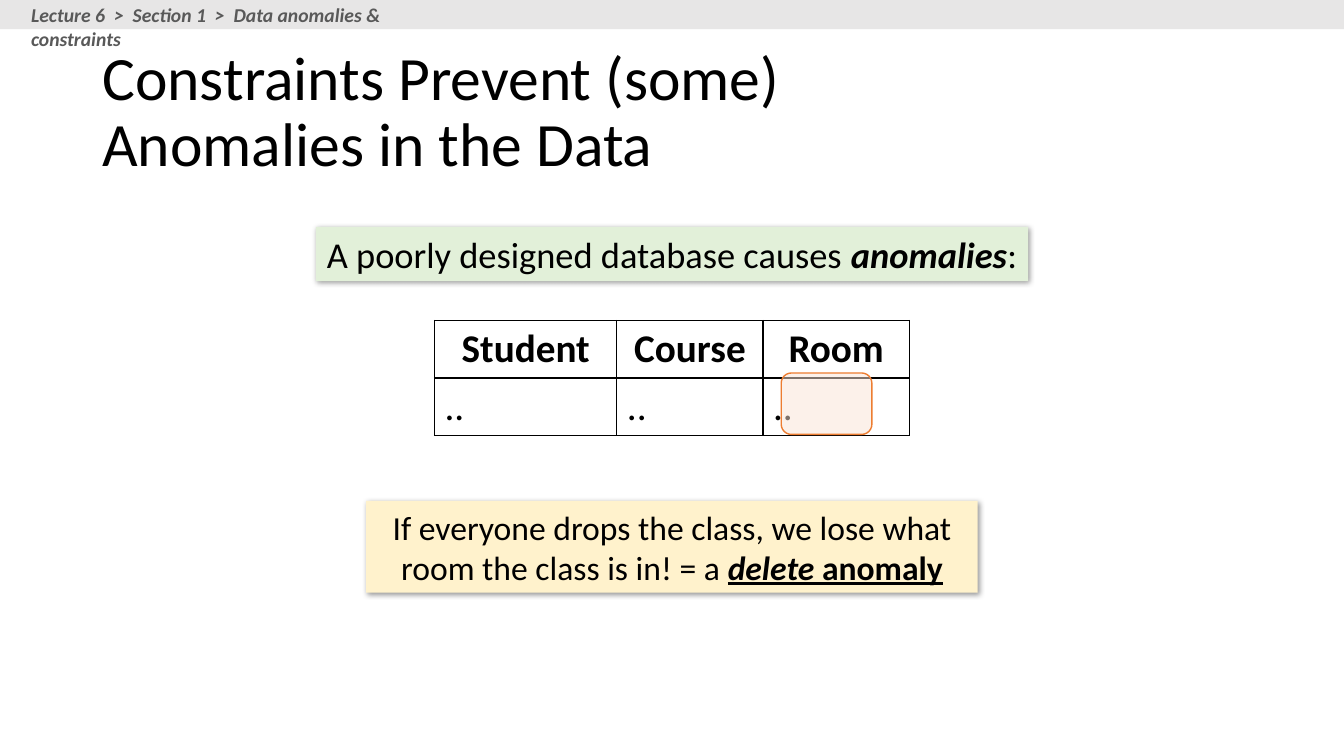
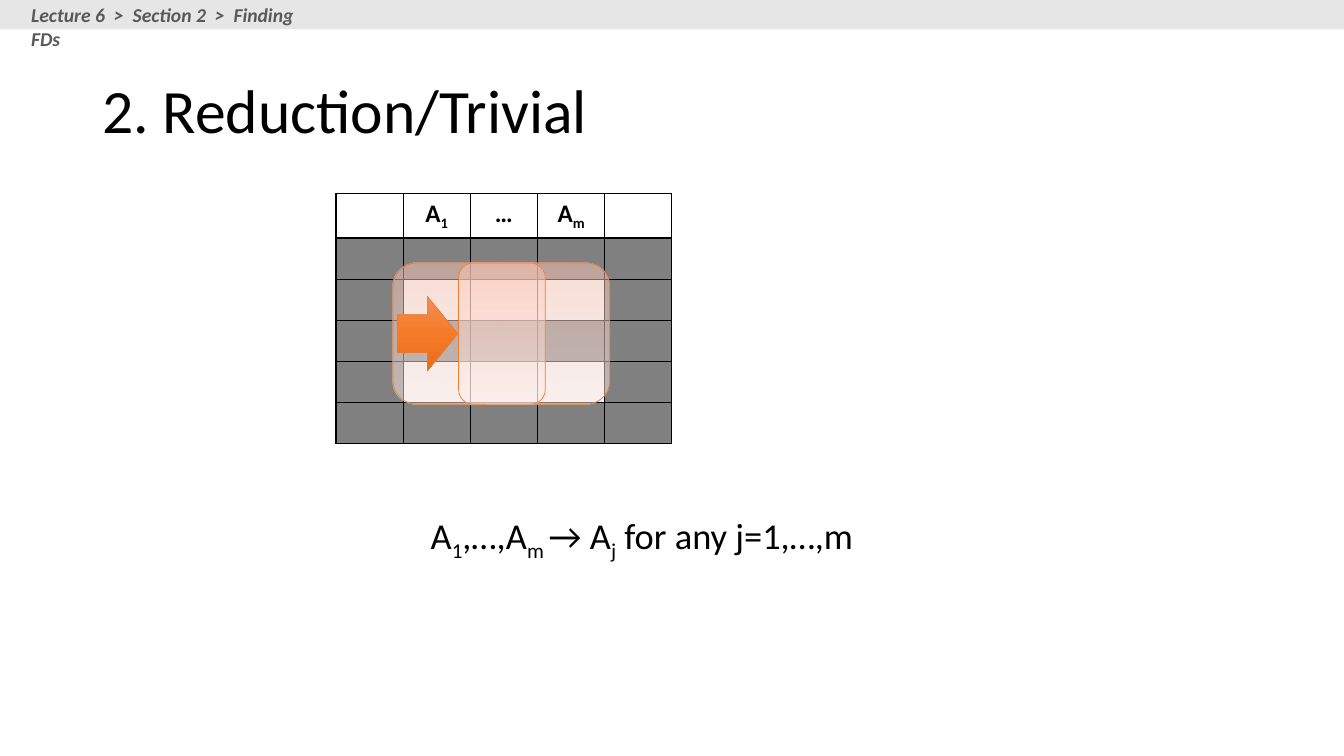
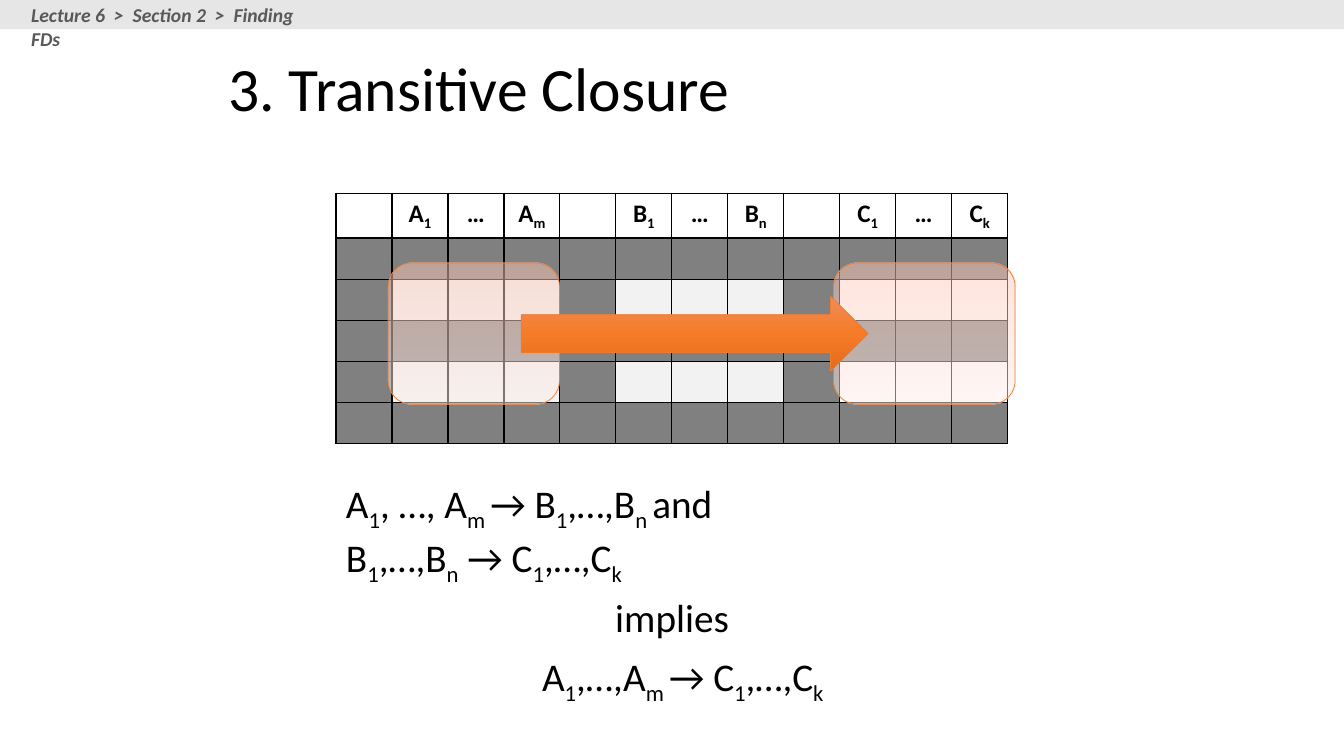
from dataclasses import dataclass
from lxml.etree import SubElement as Sub
from pptx import Presentation
from pptx.dml.color import RGBColor as Rgb
from pptx.enum.shapes import MSO_SHAPE as Kind
from pptx.enum.text import MSO_ANCHOR as Anchor, PP_ALIGN as Align
from pptx.oxml.ns import qn
from pptx.util import Inches, Pt

WIDE, HIGH = Inches(13.33), Inches(7.5)
COL, ROW = WIDE / 40, HIGH / 30
MID, LEFT = Align.CENTER, Align.LEFT


@dataclass(frozen=True)
class Theme:
    """Colours, font and type sizes that the slides share."""
    font: str = "Calibri"
    ink: str = "000000"
    band: str = "E7E6E6"
    crumb: str = "595959"
    green: str = "E2F0D9"
    cream: str = "FFF2CC"
    peach: str = "FBE5D6"
    edge: str = "ED7D31"
    dark: str = "808080"
    pale: str = "F2F2F2"
    white: str = "FFFFFF"
    blush: tuple = ((0, "FFC7B6"), (35, "FFD7CB"), (100, "FFF0EB"))
    flame: tuple = ((0, "F18C57"), (50, "F67B28"), (100, "E56C19"))
    title: int = 44
    large: int = 28
    body: int = 26
    note: int = 24
    head: int = 18
    small: int = 14


T = Theme()


def place(x, y, w, h):
    """Turn grid columns and rows into slide lengths."""
    return [int(n) for n in (x * COL, y * ROW, w * COL, h * ROW)]


def subs(text):
    """Split text into runs; braces mark a subscript."""
    first, *rest = text.split("{")
    runs = [(first, "")]
    for part in rest:
        low, _, tail = part.partition("}")
        runs += [(low, "s"), (tail, "")]
    return [run for run in runs if run[0]]


def style(run, marks):
    """Apply b, i, u and s (subscript) marks to a run."""
    font = run.font
    if "b" in marks:
        font.bold = True
    if "i" in marks:
        font.italic = True
    if "u" in marks:
        font.underline = True
    if "s" in marks:
        font._element.set("baseline", "-25000")


def write(frame, lines, size, align=LEFT, color=T.ink, bold=False, slant=False):
    """Fill a text frame, one list of runs to a paragraph."""
    frame.word_wrap = True
    for num, runs in enumerate(lines):
        para = frame.add_paragraph() if num else frame.paragraphs[0]
        para.alignment = align
        font = para.font
        font.name, font.size = T.font, Pt(size)
        font.bold, font.italic = bold, slant
        font.color.rgb = Rgb.from_string(color)
        for text, marks in runs:
            for part, piece in enumerate(text.split("\n")):
                if part:
                    para.add_line_break()
                run = para.add_run()
                run.text = piece
                style(run, marks)


def label(slide, box, lines, size, **look):
    """Add a text box on the grid and return its frame."""
    frame = slide.shapes.add_textbox(*place(*box)).text_frame
    write(frame, lines, size, **look)
    return frame


def fade(color, alpha):
    """Give a colour element an opacity in percent."""
    Sub(color, qn("a:alpha")).set("val", str(alpha * 1000))


def shape(slide, kind, box, fill=None, line=None, width=1):
    """Add a flat preset shape."""
    item = slide.shapes.add_shape(kind, *place(*box))
    item.shadow.inherit = False
    if fill:
        item.fill.solid()
        item.fill.fore_color.rgb = Rgb.from_string(fill)
    if line:
        item.line.color.rgb = Rgb.from_string(line)
        item.line.width = Pt(width)
    else:
        item.line.fill.background()
    return item


def blend(item, stops, alpha=100):
    """Fill a shape with a gradient from top to bottom."""
    item.fill.gradient()
    item.fill.gradient_angle = 270
    group = item._element.spPr.find(qn("a:gradFill")).find(qn("a:gsLst"))
    for old in list(group):
        group.remove(old)
    for spot, tone in stops:
        stop = Sub(group, qn("a:gs"), pos=str(spot * 1000))
        color = Sub(stop, qn("a:srgbClr"), val=tone)
        if alpha < 100:
            fade(color, alpha)


def note(slide, box, fill, runs, size):
    """Add a tinted callout with a soft shadow."""
    item = shape(slide, Kind.RECTANGLE, box, fill)
    effects = item._element.spPr.find(qn("a:effectLst"))
    cast = Sub(effects, qn("a:outerShdw"), blurRad=str(Pt(4)),
               dist=str(Pt(1)), dir="2700000", algn="tl", rotWithShape="0")
    fade(Sub(cast, qn("a:srgbClr"), val=T.ink), 40)
    write(item.text_frame, [runs], size, MID)


def frame(slide, x, w):
    """Mark a group of table columns with a clear rounded panel."""
    item = shape(slide, Kind.ROUNDED_RECTANGLE, (x, 10.44, w, 5.6),
                 line=T.edge, width=0.5)
    blend(item, T.blush, 50)


def arrow(slide, x, w):
    """Add a block arrow across the middle of the table."""
    item = shape(slide, Kind.RIGHT_ARROW, (x, 11.76, w, 2.96),
                 line=T.edge, width=0.5)
    blend(item, T.flame)


def border(cell):
    """Draw thin lines on all four sides of a cell."""
    props = cell._tc.get_or_add_tcPr()
    for num, side in enumerate(("lnL", "lnR", "lnT", "lnB")):
        line = props.makeelement(qn("a:" + side), {"w": str(Pt(1))})
        Sub(Sub(line, qn("a:solidFill")), qn("a:srgbClr"), val=T.ink)
        props.insert(num, line)


def table(slide, x, y, cols, rows, high):
    """Add a plain bordered table and return it."""
    box = place(x, y, sum(cols), rows * high)
    grid = slide.shapes.add_table(rows, len(cols), *box).table
    grid.first_row = grid.horz_banding = False
    for col, wide in zip(grid.columns, cols):
        col.width = int(wide * COL)
    for row in grid.rows:
        row.height = int(high * ROW)
        for cell in row.cells:
            cell.fill.background()
            border(cell)
    return grid


def relation(slide, wide, heads, tones):
    """Add a relation with dark rows and two lit rows under its heads."""
    count = len(heads)
    grid = table(slide, 10, 7.68, [wide / count] * count, 6, 1.63)
    for num, (head, tone) in enumerate(zip(heads, tones)):
        if head:
            write(grid.cell(0, num).text_frame, [subs(head)], T.head, MID,
                  bold=True)
        for row in range(1, 6):
            fill = grid.cell(row, num).fill
            fill.solid()
            fill.fore_color.rgb = Rgb.from_string(
                tone if row in (2, 4) else T.dark)


def start(deck, title, crumb, wide, box=(2.75, 1.6, 34.5, 5.8)):
    """Add a blank slide with its title, top band and trail."""
    slide = deck.slides.add_slide(deck.slide_layouts[6])
    text = label(slide, box, [[(title, "")]], T.title)
    text.vertical_anchor = Anchor.MIDDLE
    text.paragraphs[0].line_spacing = 0.9
    shape(slide, Kind.RECTANGLE, (0, 0, 40, 1.16), T.band)
    trail = "  >  ".join(("Lecture 6", *crumb))
    label(slide, (0.63, -0.08, wide, 1.36), [[(trail, "")]], T.small,
          color=T.crumb, bold=True, slant=True)
    return slide


def anomaly(deck):
    """Build the slide on anomalies."""
    slide = start(deck, "Constraints Prevent (some) \nAnomalies in the Data",
                  ("Section 1", "Data anomalies & constraints"), 13.53)
    grid = table(slide, 12.93, 12.72, (5.43, 4.35, 4.35), 2, 2.28)
    for num, head in enumerate(("Student", "Course", "Room")):
        write(grid.cell(0, num).text_frame, [[(head, "")]], T.large, MID,
              bold=True)
        write(grid.cell(1, num).text_frame, [[("..", "")]], T.large)
    note(slide, (10.9, 19.88, 18.2, 3.64), T.cream,
         [("If everyone drops the class, we lose what room the class is in!"
           " = a ", ""), ("delete", "biu"), (" anomaly", "bu")], T.note)
    note(slide, (9.4, 9, 21.2, 2.16), T.green,
         [("A poorly designed database causes ", ""), ("anomalies", "bi"),
          (":", "")], T.body)
    mark = shape(slide, Kind.ROUNDED_RECTANGLE, (23.25, 14.8, 2.7, 2.44),
                 T.peach, T.edge)
    fill = mark._element.spPr.find(qn("a:solidFill"))
    fade(fill.find(qn("a:srgbClr")), 50)


def trivial(deck):
    """Build the slide on reduction."""
    slide = start(deck, "2. Reduction/Trivial",
                  ("Section 2", "Finding FDs"), 9.3)
    relation(slide, 10, ("", "A{1}", "…", "A{m}", ""),
             (T.dark, *[T.pale] * 3, T.dark))
    label(slide, (10.5, 20.16, 17.22, 2.16),
          [subs("A{1},…,A{m }→ A{j} for any j=1,…,m")], T.body, align=MID)
    frame(slide, 11.7, 6.45)
    frame(slide, 13.65, 2.58)
    arrow(slide, 11.82, 1.8)


def closure(deck):
    """Build the slide on transitive closure."""
    slide = start(deck, "3. Transitive Closure",
                  ("Section 2", "Finding FDs"), 9.3, (6.5, 1.12, 27, 5))
    heads, tones = [], []
    for name, last, tone in (("A", "m", T.pale), ("B", "n", T.pale),
                             ("C", "k", T.white)):
        heads += ["", name + "{1}", "…", f"{name}{{{last}}}"]
        tones += [T.dark, tone, tone, tone]
    relation(slide, 20, heads, tones)
    label(slide, (10, 18.84, 20, 4.16),
          [subs("A{1}, …, A{m }→ B{1},…,B{n }and"),
           subs("B{1},…,B{n} → C{1},…,C{k}")], T.large)
    label(slide, (10, 23.36, 20, 2.28), [subs("implies")], T.large, align=MID)
    label(slide, (10.32, 25.68, 20, 2.28),
          [subs("A{1},…,A{m }→ C{1},…,C{k}")], T.large, align=MID)
    frame(slide, 11.55, 5.1)
    frame(slide, 24.81, 5.4)
    arrow(slide, 15.51, 10.32)


def main():
    """Build and save the deck."""
    deck = Presentation()
    deck.slide_width, deck.slide_height = WIDE, HIGH
    for build in (anomaly, trivial, closure):
        build(deck)
    deck.save("out.pptx")


main()
